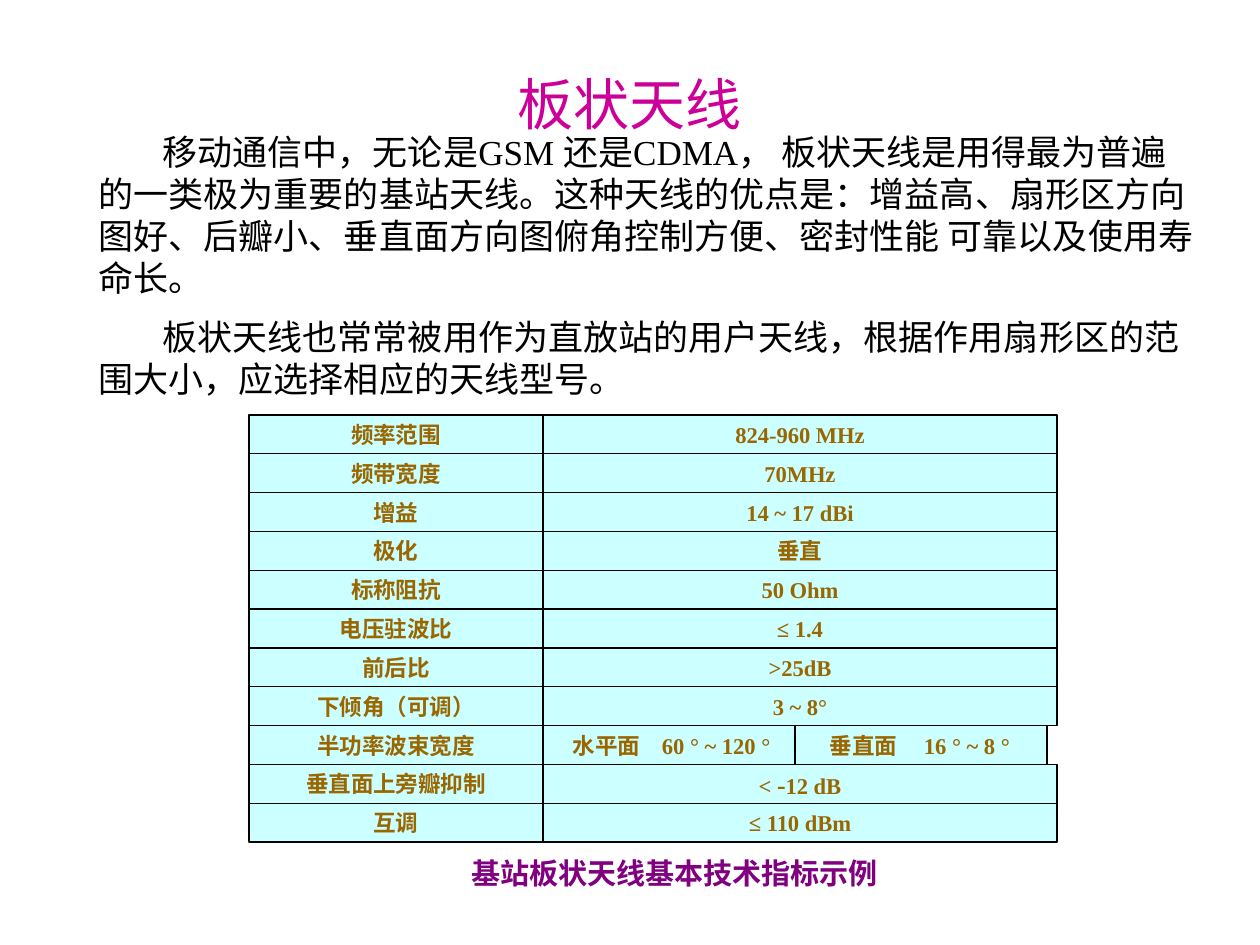
import pptx
import pptx.dml.color
import pptx.enum.shapes
import pptx.enum.text
import pptx.oxml
import pptx.oxml.ns
import pptx.util

PX_PER_INCH = 126
ALIGN = pptx.enum.text.PP_ALIGN
ANCHOR = pptx.enum.text.MSO_ANCHOR
NAMESPACE = pptx.oxml.ns.nsdecls("a")

PARAGRAPHS = [
    "移动通信中，无论是GSM 还是CDMA， 板状天线是用得最为普遍的一类极为重要的基站天线。"
    "这种天线的优点是：增益高、扇形区方向图好、后瓣小、垂直面方向图俯角控制方便、"
    "密封性能 可靠以及使用寿命长。",
    "板状天线也常常被用作为直放站的用户天线，根据作用扇形区的范围大小，"
    "应选择相应的天线型号。",
]
SPECIFICATIONS = [
    ("频率范围", "824-960 MHz"),
    ("频带宽度", "70MHz"),
    ("增益", "14 ~ 17 dBi"),
    ("极化", "垂直"),
    ("标称阻抗", "50 Ohm"),
    ("电压驻波比", "≤ 1.4"),
    ("前后比", ">25dB"),
    ("下倾角（可调）", "3 ~ 8°"),
    ("半功率波束宽度", "水平面\t60 ° ~ 120 °", "垂直面\t16 ° ~ 8 °"),
    ("垂直面上旁瓣抑制", "< -12 dB"),
    ("互调", "≤ 110 dBm"),
]
GRID_TOP, GRID_HEIGHT = 415, 427
# Left edge and width of each cell, by the number of cells in the row
COLUMNS = {
    2: [(249, 294), (543, 514)],
    3: [(249, 294), (543, 262), (795, 252)],
}
# Left inset and tab stop of the cells that hold a tab, by column
TABS = {1: (30, 89), 2: (35, 94)}


def px(length):
    return pptx.util.Emu(round(length * 914400 / PX_PER_INCH))


def color(hex_string):
    return pptx.dml.color.RGBColor.from_string(hex_string)


def place(shape, left, top, width, height):
    shape.left, shape.top = px(left), px(top)
    shape.width, shape.height = px(width), px(height)


class AntennaSlide:
    TITLE_COLOR = "CC0099"
    TEXT_COLOR = "000000"
    CAPTION_COLOR = "800080"
    CELL_COLOR = "996600"
    CELL_FILL = "CCFFFF"
    TITLE_FONT = "Karla"
    FONT = "Times New Roman"
    CELL_SIZE = 12.9
    MINUS_SIZE = 14.8

    def __init__(self, presentation):
        self.slide = presentation.slides.add_slide(presentation.slide_layouts[1])

    def format_runs(self, paragraph, size, hex_string, bold=False, name=FONT):
        for run in paragraph.runs:
            run.font.size = pptx.util.Pt(size)
            run.font.name = name
            run.font.bold = bold
            run.font.color.rgb = color(hex_string)

    def title(self, text, *box):
        shape = self.slide.shapes.title
        place(shape, *box)
        frame = shape.text_frame
        frame.text = text
        frame.auto_size = pptx.enum.text.MSO_AUTO_SIZE.NONE
        frame.vertical_anchor = ANCHOR.BOTTOM
        paragraph = frame.paragraphs[0]
        paragraph.alignment = ALIGN.CENTER
        self.format_runs(paragraph, 32, self.TITLE_COLOR, name=self.TITLE_FONT)

    def body(self, texts, *box):
        shape = self.slide.placeholders[1]
        place(shape, *box)
        frame = shape.text_frame
        frame.text = "\n".join(texts)
        frame.auto_size = pptx.enum.text.MSO_AUTO_SIZE.NONE
        for index, paragraph in enumerate(frame.paragraphs):
            properties = paragraph._p.get_or_add_pPr()
            properties.set("marL", "0")
            properties.set("indent", str(px(64)))
            properties.append(pptx.oxml.parse_xml(f"<a:buNone {NAMESPACE}/>"))
            paragraph.space_before = pptx.util.Pt(10 if index else 0)
            self.format_runs(paragraph, 20, self.TEXT_COLOR)

    def caption(self, text, *box):
        frame = self.slide.shapes.add_textbox(*map(px, box)).text_frame
        frame.word_wrap = True
        frame.text = text
        paragraph = frame.paragraphs[0]
        paragraph.alignment = ALIGN.CENTER
        self.format_runs(paragraph, 16.6, self.CAPTION_COLOR, bold=True)

    def cell(self, text, box, tab=None):
        """Draw a box with centred text, or text from the left with a tab stop."""
        shape = self.slide.shapes.add_shape(
            pptx.enum.shapes.MSO_SHAPE.RECTANGLE, *map(px, box))
        shape.shadow.inherit = False
        shape.fill.solid()
        shape.fill.fore_color.rgb = color(self.CELL_FILL)
        shape.line.color.rgb = color(self.TEXT_COLOR)
        shape.line.width = pptx.util.Pt(0.75)
        frame = shape.text_frame
        frame.vertical_anchor = ANCHOR.MIDDLE
        frame.margin_top = frame.margin_bottom = 0
        frame.word_wrap = tab is not None
        paragraph = frame.paragraphs[0]
        paragraph.alignment = ALIGN.CENTER
        if tab:
            inset, stop = tab
            frame.margin_left, frame.margin_right = px(inset), 0
            paragraph.alignment = ALIGN.LEFT
            paragraph._p.get_or_add_pPr().append(pptx.oxml.parse_xml(
                f'<a:tabLst {NAMESPACE}><a:tab pos="{px(stop)}" algn="l"/></a:tabLst>'))
        before, minus, after = text.partition(" -")
        if minus:
            for piece in (before + " ", "-", after):
                paragraph.add_run().text = piece
        else:
            paragraph.text = text
        self.format_runs(paragraph, self.CELL_SIZE, self.CELL_COLOR, bold=True)
        if minus:
            paragraph.runs[1].font.size = pptx.util.Pt(self.MINUS_SIZE)

    def specification_grid(self, rows):
        pitch = GRID_HEIGHT / len(rows)
        for index, texts in enumerate(rows):
            top = GRID_TOP + index * pitch
            for column, (text, (left, width)) in enumerate(
                    zip(texts, COLUMNS[len(texts)])):
                tab = TABS[column] if "\t" in text else None
                self.cell(text, (left, top, width, pitch), tab)


def main():
    presentation = pptx.Presentation()
    presentation.slide_width = px(1260)
    presentation.slide_height = px(945)
    slide = AntennaSlide(presentation)
    slide.title("板状天线", 63, 48, 1134, 95)
    slide.body(PARAGRAPHS, 86, 124, 1123, 286)
    slide.caption("基站板状天线基本技术指标示例", 202, 849, 945, 48)
    slide.specification_grid(SPECIFICATIONS)
    presentation.save("out.pptx")


if __name__ == "__main__":
    main()
